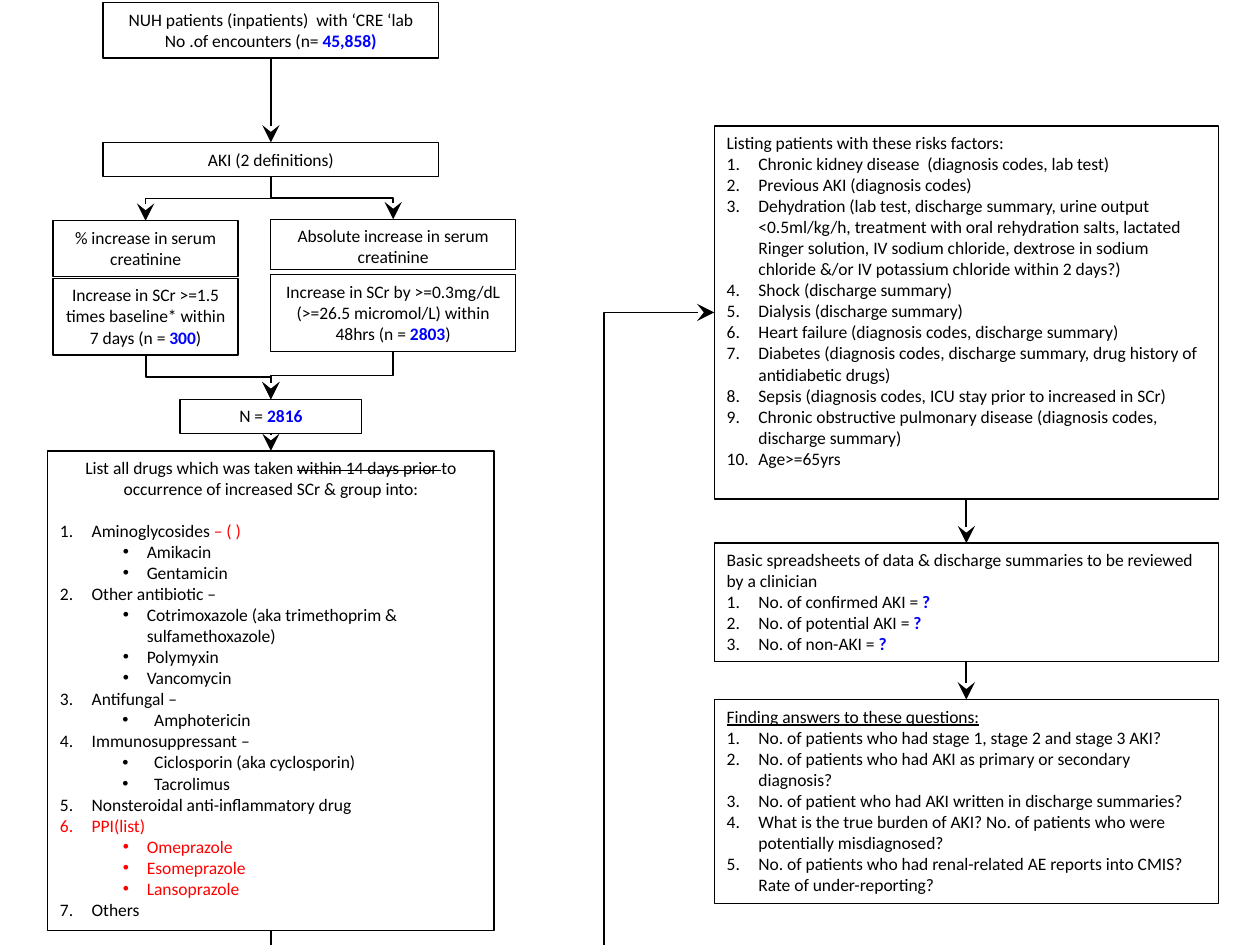
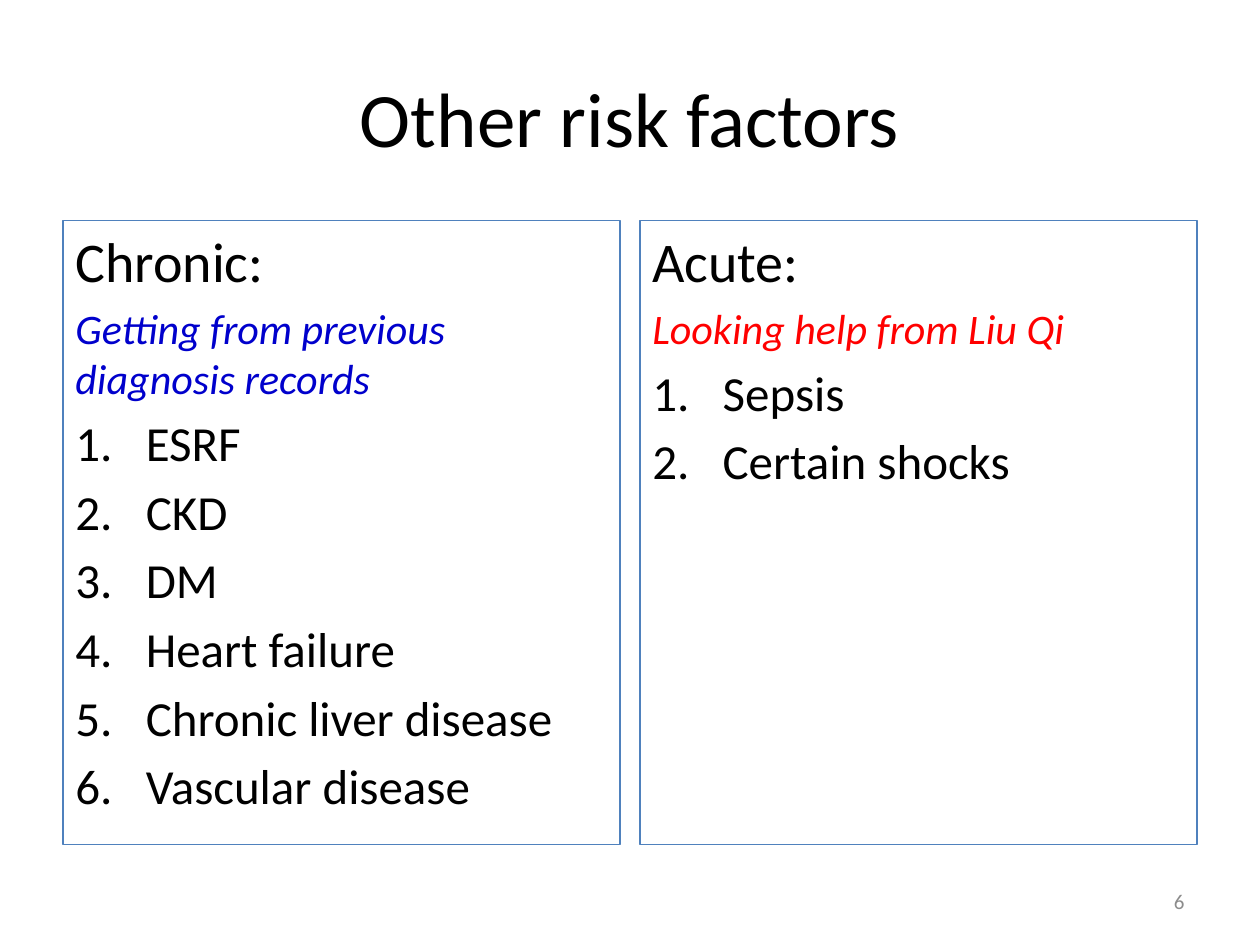
"""Build two slides: the AKI patient selection flow and the other risk factors."""
from lxml.etree import SubElement
from pptx import Presentation
from pptx.dml.color import RGBColor
from pptx.enum.shapes import MSO_CONNECTOR, MSO_SHAPE
from pptx.enum.text import MSO_ANCHOR, PP_ALIGN
from pptx.oxml.ns import qn
from pptx.util import Cm, Pt

BLACK = RGBColor(0x00, 0x00, 0x00)
BLUE = RGBColor(0x00, 0x00, 0xFF)
DARK_BLUE = RGBColor(0x00, 0x00, 0xCC)
RED = RGBColor(0xFF, 0x00, 0x00)
GREY = RGBColor(0x8C, 0x8C, 0x8C)
PANEL_BLUE = RGBColor(0x4F, 0x81, 0xBD)

FONT = "Calibri"
STYLES = {
    "plain": {},
    "count": {"color": BLUE, "bold": True},
    "red": {"color": RED},
    "grey": {"color": GREY},
    "underlined": {"underline": True},
    "struck": {"strike": True},
    "blue note": {"color": DARK_BLUE, "italic": True},
    "red note": {"color": RED, "italic": True},
}
LISTS = {
    "number": (0, 0.64, 0.64),
    "large number": (0, 1.42, 1.42),
    "bullet": (1, 1.75, 0.48),
    "wide bullet": (1, 1.9, 0.64),
}


def add_box(slide, bounds, paragraphs, line=BLACK, size=10, align=PP_ALIGN.LEFT, anchor=MSO_ANCHOR.TOP):
    """Add a box; each paragraph is (list kind, runs, options)."""
    lengths = [Cm(value) for value in bounds]
    if line is None:
        shape = slide.shapes.add_textbox(*lengths)
    else:
        shape = slide.shapes.add_shape(MSO_SHAPE.RECTANGLE, *lengths)
        shape.shadow.inherit = False
        shape.fill.background()
        shape.line.color.rgb = line
        shape.line.width = Pt(0.75)
    frame = shape.text_frame
    frame.word_wrap = True
    frame.vertical_anchor = anchor
    for index, (kind, runs, options) in enumerate(paragraphs):
        paragraph = frame.paragraphs[0] if index == 0 else frame.add_paragraph()
        paragraph.alignment = options.get("align", align)
        if kind:
            level, margin, hanging = LISTS[kind]
            paragraph.level = level
            properties = paragraph._p.get_or_add_pPr()
            properties.set("marL", str(Cm(margin)))
            properties.set("indent", str(-Cm(hanging)))
            if "number" in kind:
                SubElement(properties, qn("a:buAutoNum"), type="arabicPeriod")
            else:
                SubElement(properties, qn("a:buFont"), typeface="Arial")
                SubElement(properties, qn("a:buChar"), char="•")
        if "before" in options:
            paragraph.space_before = Pt(options["before"])
        paragraph.font.name = FONT
        paragraph.font.size = Pt(options.get("size", size))
        paragraph.font.color.rgb = BLACK
        for text, style_name in runs:
            run = paragraph.add_run()
            run.text = text
            style = STYLES[style_name]
            font = paragraph.font if len(runs) == 1 else run.font
            if "color" in style:
                font.color.rgb = style["color"]
            if "strike" in style:
                run._r.get_or_add_rPr().set("strike", "sngStrike")
            for name in ("bold", "italic", "underline"):
                if name in style:
                    setattr(font, name, True)
    return shape


def add_arrow(slide, start, end, start_site=2, end_site=0, bent=False, adjustments=()):
    """Join two boxes with an arrow; bent arrows leave vertically."""
    kind = MSO_CONNECTOR.ELBOW if bent else MSO_CONNECTOR.STRAIGHT
    connector = slide.shapes.add_connector(kind, 0, 0, 0, 0)
    connector.begin_connect(start, start_site)
    connector.end_connect(end, end_site)
    connector.line.color.rgb = BLACK
    connector.line.width = Pt(1)
    properties = connector._element.spPr
    if bent:
        across = connector.end_x - connector.begin_x
        down = connector.end_y - connector.begin_y
        center_x = (connector.begin_x + connector.end_x) // 2
        center_y = (connector.begin_y + connector.end_y) // 2
        connector.width, connector.height = abs(down), abs(across)
        connector.left = center_x - abs(down) // 2
        connector.top = center_y - abs(across) // 2
        turned_back = across > 0 and down > 0
        transform = properties.find(qn("a:xfrm"))
        transform.set("rot", str((270 if turned_back else 90) * 60000))
        transform.set("flipH", "1" if across > 0 else "0")
        transform.set("flipV", "1" if down < 0 else "0")
    if adjustments:
        geometry = properties.find(qn("a:prstGeom"))
        geometry.set("prst", "bentConnector4")
        guides = geometry.find(qn("a:avLst"))
        for number, value in enumerate(adjustments, 1):
            SubElement(guides, qn("a:gd"), name=f"adj{number}", fmla=f"val {value}")
    outline = properties.find(qn("a:ln"))
    SubElement(outline, qn("a:tailEnd"), type="stealth", w="lg", len="lg")
    SubElement(properties, qn("a:effectLst"))


presentation = Presentation()
presentation.slide_width = Cm(25.4)
presentation.slide_height = Cm(19.05)
blank_layout = presentation.slide_layouts[6]

flow_slide = presentation.slides.add_slide(blank_layout)
flow_boxes = {}
for name, bounds, lines in [
    ("encounters", (2.08, 0.05, 6.76, 1.12), [
        [("NUH patients (inpatients)  with ‘CRE ‘lab", "plain")],
        [("No .of encounters (n= ", "plain"), ("45,858)", "count")]]),
    ("definitions", (2.08, 2.87, 6.76, 0.69), [[("AKI (2 definitions)", "plain")]]),
    ("percent", (1.07, 4.45, 3.73, 1.12), [[("% increase in serum creatinine", "plain")]]),
    ("percent count", (1.07, 5.61, 3.73, 1.55), [
        [("Increase in SCr >=1.5 times baseline* within 7 days (n = ", "plain"),
         ("300", "count"), (")", "plain")]]),
    ("absolute", (5.46, 4.42, 4.93, 1.02), [[("Absolute increase in serum creatinine", "plain")]]),
    ("absolute count", (5.46, 5.54, 4.93, 1.55), [
        [("Increase in SCr by >=0.3mg/dL (>=26.5 micromol/L) within 48hrs (n = ", "plain"),
         ("2803", "count"), (")", "plain")]]),
    ("total", (3.63, 8.05, 3.66, 0.69), [[("N = ", "plain"), ("2816", "count")]]),
]:
    flow_boxes[name] = add_box(flow_slide, bounds, [(None, runs, {}) for runs in lines], align=PP_ALIGN.CENTER)

drug_groups = [
    ([("Aminoglycosides ", "plain"), ("– ( )", "red")], "bullet", "plain", ["Amikacin", "Gentamicin"]),
    ([("Other antibiotic –", "plain")], "bullet", "plain",
     ["Cotrimoxazole (aka trimethoprim & sulfamethoxazole)", "Polymyxin", "Vancomycin"]),
    ([("Antifungal –", "plain")], "wide bullet", "plain", ["Amphotericin"]),
    ([("Immunosuppressant –", "plain")], "wide bullet", "plain",
     ["Ciclosporin (aka cyclosporin)", "Tacrolimus"]),
    ([("Nonsteroidal anti-inflammatory drug", "plain")], None, None, []),
    ([("PPI(list)", "red")], "bullet", "red", ["Omeprazole", "Esomeprazole", "Lansoprazole"]),
    ([("Others", "plain")], None, None, []),
]
drug_paragraphs = [(None, [
    ("List all drugs which was taken ", "plain"), ("within 14 days prior ", "struck"),
    ("to occurrence of increased SCr & group into:", "plain")], {"align": PP_ALIGN.CENTER})]
for index, (heading, kind, style, drugs) in enumerate(drug_groups):
    drug_paragraphs.append(("number", heading, {"before": 12} if index == 0 else {}))
    drug_paragraphs += [(kind, [(drug, style)], {}) for drug in drugs]
flow_boxes["drugs"] = add_box(flow_slide, (0.96, 9.09, 9, 9.67), drug_paragraphs)

for name, top, height, heading, heading_style, items, ending in [
    ("risks", 2.54, 7.52, "Listing patients with these risks factors:", "plain", [
        "Chronic kidney disease  (diagnosis codes, lab test)",
        "Previous AKI (diagnosis codes)",
        "Dehydration (lab test, discharge summary, urine output <0.5ml/kg/h, treatment with oral "
        "rehydration salts, lactated Ringer solution, IV sodium chloride, dextrose in sodium chloride "
        "&/or IV potassium chloride within 2 days?)",
        "Shock (discharge summary)",
        "Dialysis (discharge summary)",
        "Heart failure (diagnosis codes, discharge summary)",
        "Diabetes (diagnosis codes, discharge summary, drug history of antidiabetic drugs)",
        "Sepsis (diagnosis codes, ICU stay prior to increased in SCr)",
        "Chronic obstructive pulmonary disease (diagnosis codes, discharge summary)",
        "Age>=65yrs"], []),
    ("review", 10.95, 2.39,
     "Basic spreadsheets of data & discharge summaries to be reviewed by a clinician", "plain", [
         "No. of confirmed AKI = ", "No. of potential AKI = ", "No. of non-AKI = "], [("?", "count")]),
    ("questions", 14.1, 4.11, "Finding answers to these questions:", "underlined", [
        "No. of patients who had stage 1, stage 2 and stage 3 AKI?",
        "No. of patients who had AKI as primary or secondary diagnosis?",
        "No. of patient who had AKI written in discharge summaries?",
        "What is the true burden of AKI? No. of patients who were potentially misdiagnosed?",
        "No. of patients who had renal-related AE reports into CMIS? Rate of under-reporting?"], []),
]:
    paragraphs = [(None, [(heading, heading_style)], {})]
    paragraphs += [("number", [(item, "plain")] + ending, {}) for item in items]
    flow_boxes[name] = add_box(flow_slide, (14.4, top, 10.16, height), paragraphs)

for start, end, bent in [
    ("encounters", "definitions", False),
    ("definitions", "percent", True),
    ("definitions", "absolute", True),
    ("percent count", "total", True),
    ("absolute count", "total", True),
    ("total", "drugs", False),
    ("risks", "review", False),
    ("review", "questions", False),
]:
    add_arrow(flow_slide, flow_boxes[start], flow_boxes[end], bent=bent)
add_arrow(flow_slide, flow_boxes["drugs"], flow_boxes["risks"], end_site=1, bent=True, adjustments=(-5100, 75200))

factors_slide = presentation.slides.add_slide(blank_layout)
add_box(factors_slide, (1.27, 0.76, 22.86, 3.18), [(None, [("Other risk factors", "plain")], {})],
        line=None, size=44, align=PP_ALIGN.CENTER, anchor=MSO_ANCHOR.MIDDLE)
add_box(factors_slide, (18.21, 17.65, 5.92, 1.02), [(None, [("6", "grey")], {})],
        line=None, size=12, align=PP_ALIGN.RIGHT, anchor=MSO_ANCHOR.MIDDLE)
for left, heading, note, note_style, factors in [
    (1.27, "Chronic:", "Getting from previous diagnosis records", "blue note",
     ["ESRF", "CKD", "DM", "Heart failure", "Chronic liver disease", "Vascular disease"]),
    (12.9, "Acute:", "Looking help from Liu Qi", "red note", ["Sepsis", "Certain shocks"]),
]:
    paragraphs = [
        (None, [(heading, "plain")], {"size": 32, "before": 6}),
        (None, [(note, note_style)], {"size": 24, "before": 4.5}),
    ]
    paragraphs += [("large number", [(factor, "plain")], {"before": 5.6}) for factor in factors]
    add_box(factors_slide, (left, 4.45, 11.23, 12.57), paragraphs, line=PANEL_BLUE, size=28)

presentation.save("out.pptx")
